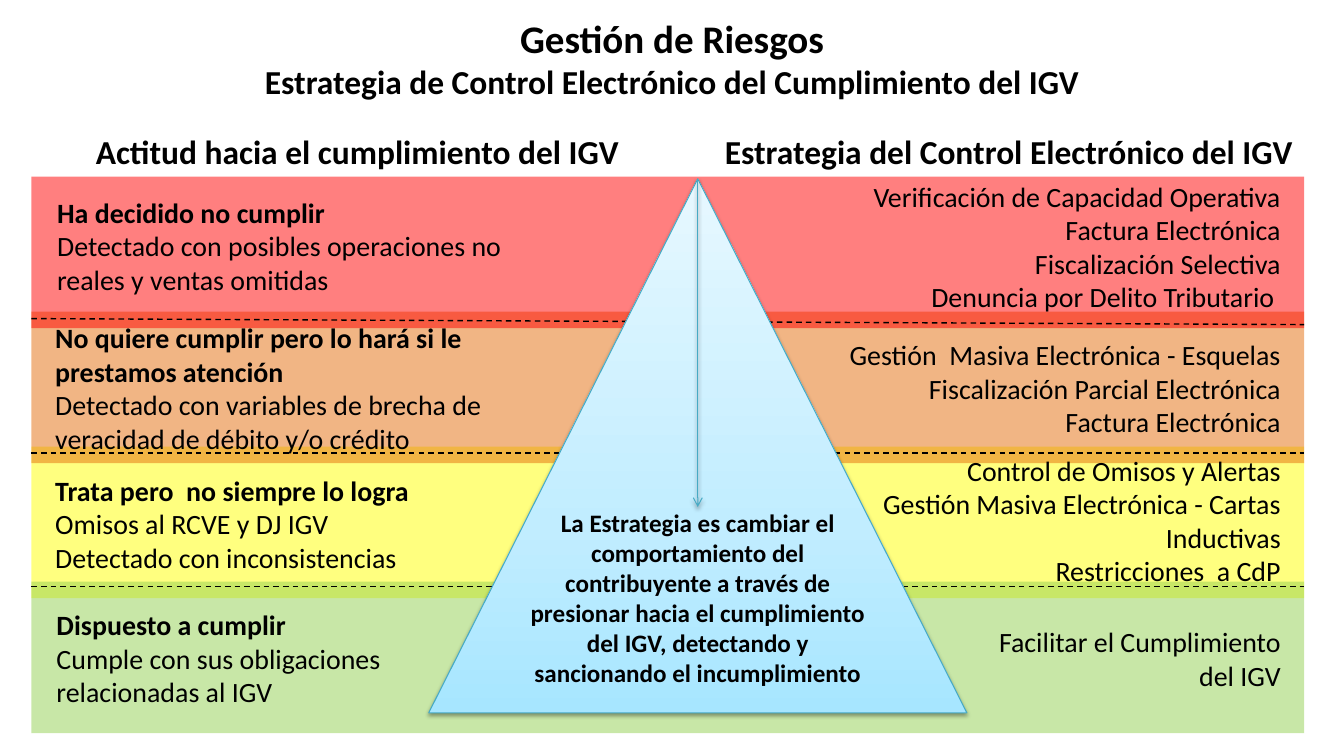
from copy import deepcopy

from lxml import etree
from pptx import Presentation
from pptx import util as u
from pptx.dml.color import RGBColor
from pptx.enum import dml, shapes, text
from pptx.oxml.ns import qn

COLORS = {
    "black": "000000", "edge": "46AAC5",
    "red": "FF0000", "orange": "E46C0A", "yellow": "FFFF00", "green": "92D050",
    "base": "A7E6FF", "middle": "C1EDFF", "apex": "E7F8FF",
}
ALIGN = text.PP_ALIGN


def effects(blur=0, distance=0):
    """Build an effect list: empty, or one soft shadow falling downwards (points)."""
    effect_list = etree.Element(qn("a:effectLst"))
    if blur:
        shadow = etree.SubElement(
            effect_list, qn("a:outerShdw"), blurRad=str(u.Pt(blur)), dist=str(u.Pt(distance)),
            dir="5400000", rotWithShape="0")
        color = etree.SubElement(shadow, qn("a:srgbClr"), val=COLORS["black"])
        etree.SubElement(color, qn("a:alpha"), val="38000")
    return effect_list


def add_text(left, top, width, height, lines, size, align, bold_lines=0,
             anchor=text.MSO_ANCHOR.MIDDLE):
    box = slide.shapes.add_textbox(u.Pt(left), u.Pt(top), u.Pt(width), u.Pt(height))
    frame = box.text_frame
    frame.word_wrap = True
    frame.auto_size = text.MSO_AUTO_SIZE.SHAPE_TO_FIT_TEXT
    frame.vertical_anchor = anchor
    frame.margin_left = frame.margin_right = frame.margin_top = frame.margin_bottom = 0
    frame.text = "\n".join(lines)
    for index, para in enumerate(frame.paragraphs):
        para.alignment = align
        for span in para.runs:
            span.font.name = "Calibri"
            span.font.size = u.Pt(size)
            span.font.bold = index < bold_lines
            span.font.color.rgb = RGBColor.from_string(COLORS["black"])
    return box


deck = Presentation()
deck.slide_width, deck.slide_height = u.Pt(964), u.Pt(540)
slide = deck.slides.add_slide(deck.slide_layouts[5])

# Title
title = slide.shapes.title
title.left, title.top, title.width, title.height = u.Pt(48), u.Pt(3.5), u.Pt(868), u.Pt(76)
title.text_frame.text = ("Gestión de Riesgos\v"
                         "Estrategia de Control Electrónico del Cumplimiento del IGV")
title.text_frame.auto_size = text.MSO_AUTO_SIZE.NONE
title.text_frame.vertical_anchor = text.MSO_ANCHOR.MIDDLE
heading = title.text_frame.paragraphs[0]
heading.alignment = ALIGN.CENTER
for span, size in zip(heading.runs, (28, 24)):
    span.font.name = "Calibri"
    span.font.size = u.Pt(size)
    span.font.bold = True
    span.font.color.rgb = RGBColor.from_string(COLORS["black"])
for line_break in heading._p.iter(qn("a:br")):
    etree.SubElement(line_break, qn("a:rPr"), sz="2800")

# Translucent bands, each overlapping the next one
BAND_LEFT, BAND_TOP, BAND_WIDTH, BAND_HEIGHT, BAND_STEP = 22.5, 126.7, 913, 108.7, 96.8
for level, name in ((2, "yellow"), (1, "orange"), (3, "green"), (0, "red")):
    band = slide.shapes.add_shape(
        shapes.MSO_SHAPE.RECTANGLE, u.Pt(BAND_LEFT), u.Pt(BAND_TOP + level * BAND_STEP),
        u.Pt(BAND_WIDTH), u.Pt(BAND_HEIGHT))
    band.shadow.inherit = False
    band.line.fill.background()
    band.fill.solid()
    band.fill.fore_color.rgb = RGBColor.from_string(COLORS[name])
    for color in band._element.spPr.iter(qn("a:srgbClr")):
        etree.SubElement(color, qn("a:alpha"), val="50000")

# Dashed separators
for start, end in ((228.5, 232.8), (324.8, 324.8), (420.8, 420.8)):
    separator = slide.shapes.add_connector(
        shapes.MSO_CONNECTOR.STRAIGHT, u.Pt(BAND_LEFT), u.Pt(start),
        u.Pt(BAND_LEFT + BAND_WIDTH), u.Pt(end))
    separator.line.color.rgb = RGBColor.from_string(COLORS["black"])
    separator.line.width = u.Pt(1)
    separator.line.dash_style = dml.MSO_LINE.DASH
    separator._element.spPr.append(effects())

# Column headings
for left, width, words in ((17.3, 478, "Actitud hacia el cumplimiento del IGV"),
                           (506, 435, "Estrategia del Control Electrónico del IGV")):
    add_text(left, 94.3, width, 35, [words], 24, ALIGN.CENTER, 1, text.MSO_ANCHOR.TOP)

# Pyramid with its message
pyramid = slide.shapes.add_shape(
    shapes.MSO_SHAPE.ISOSCELES_TRIANGLE, u.Pt(307.5), u.Pt(128.2), u.Pt(386), u.Pt(383))
pyramid.fill.gradient()
pyramid.fill.gradient_angle = 90
stop_list = pyramid._element.spPr.find(qn("a:gradFill")).find(qn("a:gsLst"))
stop_list.append(deepcopy(stop_list[-1]))
for stop, position, name in zip(pyramid.fill.gradient_stops, (0, 0.35, 1),
                                ("base", "middle", "apex")):
    stop.position = position
    stop.color.rgb = RGBColor.from_string(COLORS[name])

message = add_text(
    375, 363.6, 251, 131,
    ["La Estrategia es cambiar el comportamiento del contribuyente a través de presionar "
     "hacia el cumplimiento del IGV, detectando y sancionando el incumplimiento"],
    18, ALIGN.CENTER, 1, text.MSO_ANCHOR.TOP)
for span in message.text_frame.paragraphs[0].runs:
    span._r.rPr.find(qn("a:solidFill")).addnext(effects(3.1, 1.6))

arrow = slide.shapes.add_connector(
    shapes.MSO_CONNECTOR.STRAIGHT, u.Pt(500.5), u.Pt(128.2), u.Pt(500.5), u.Pt(363.6))
arrow.begin_connect(pyramid, 0)
arrow.end_connect(message, 0)
for shape in (pyramid, arrow):
    shape.line.color.rgb = RGBColor.from_string(COLORS["edge"])
    shape.line.width = u.Pt(0.75)
    shape._element.spPr.append(effects(3.1, 1.6))
etree.SubElement(arrow.line._get_or_add_ln(), qn("a:tailEnd"), type="arrow")

# Taxpayer attitudes: left, top, width, height, lines
attitudes = [
    (41, 139.7, 369, 73, ["Ha decidido no cumplir",
                          "Detectado con posibles operaciones no reales y ventas omitidas"]),
    (39.6, 229.7, 379, 97, ["No quiere cumplir pero lo hará si le prestamos atención",
                            "Detectado con variables de brecha de veracidad de débito y/o crédito"]),
    (39.6, 339.1, 336, 73, ["Trata pero  no siempre lo logra", "Omisos al RCVE y DJ IGV",
                            "Detectado con inconsistencias"]),
    (40.5, 435.6, 259, 73, ["Dispuesto a cumplir",
                            "Cumple con sus obligaciones relacionadas al IGV"]),
]
for left, top, width, height, lines in attitudes:
    add_text(left, top, width, height, lines, 20, ALIGN.LEFT, 1)

# Control strategies, flush right: top, width, height, lines
STRATEGY_RIGHT = 918.7
strategies = [
    (128.2, 386, 97, ["Verificación de Capacidad Operativa", "Factura Electrónica",
                      "Fiscalización Selectiva", "Denuncia por Delito Tributario "]),
    (241.9, 327, 73, ["Gestión  Masiva Electrónica - Esquelas",
                      "Fiscalización Parcial Electrónica", "Factura Electrónica"]),
    (324.7, 335.5, 97, ["Control de Omisos y Alertas",
                        "Gestión Masiva Electrónica - Cartas Inductivas",
                        "Restricciones  a CdP"]),
    (447.8, 207.4, 48.5, ["Facilitar el Cumplimiento del IGV"]),
]
for top, width, height, lines in strategies:
    add_text(STRATEGY_RIGHT - width, top, width, height, lines, 20, ALIGN.RIGHT)

deck.save("out.pptx")
